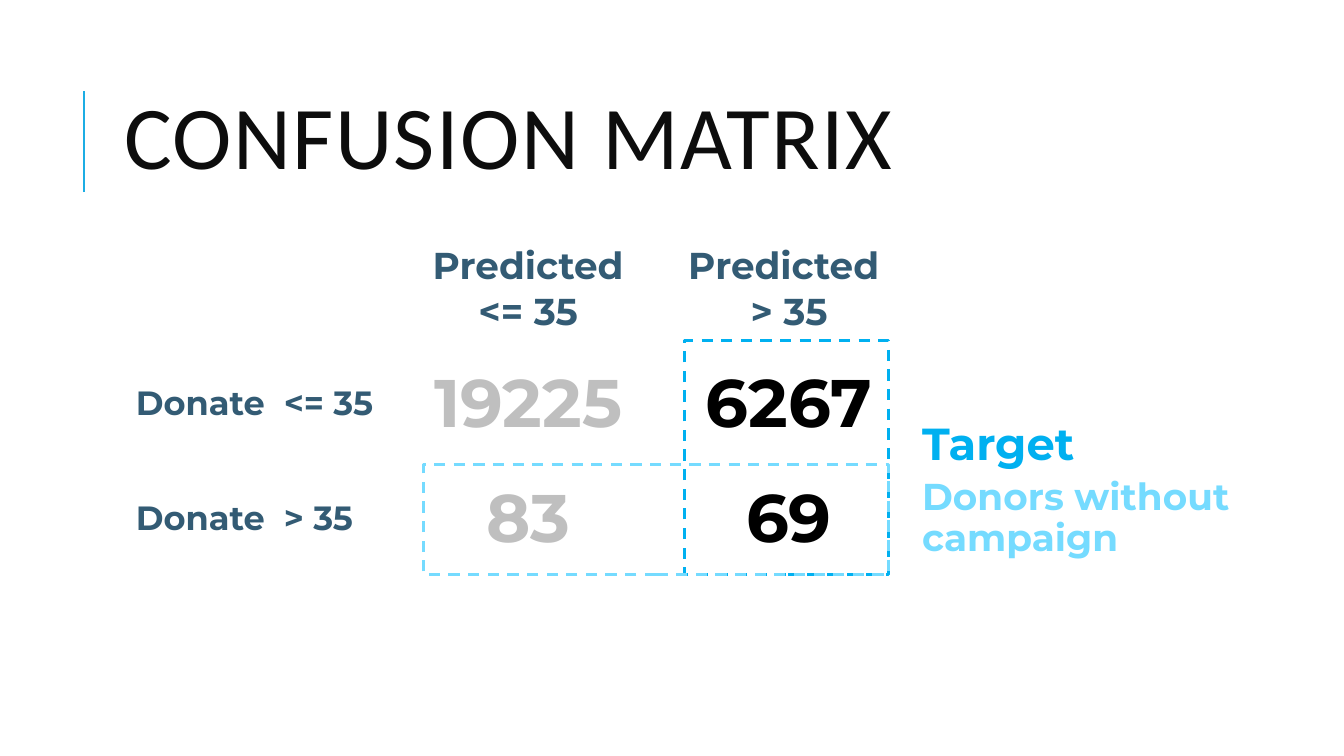
from pptx import Presentation
from pptx.dml.color import RGBColor
from pptx.enum.dml import MSO_LINE
from pptx.enum.shapes import MSO_CONNECTOR, MSO_SHAPE
from pptx.enum.text import MSO_ANCHOR, PP_ALIGN
from pptx.oxml.ns import qn
from pptx.util import Pt
from lxml import etree

ACCENT = RGBColor(0x1C, 0xAD, 0xE4)
TITLE_INK = RGBColor(0x0D, 0x0D, 0x0D)
LABEL = RGBColor(0x33, 0x5B, 0x74)
MUTED = RGBColor(0xBF, 0xBF, 0xBF)
BLACK = RGBColor(0, 0, 0)
TARGET = RGBColor(0x00, 0xB0, 0xF0)
DONORS = RGBColor(0x75, 0xDB, 0xFF)

prs = Presentation()
prs.slide_width, prs.slide_height = Pt(720), Pt(405)
slide = prs.slides.add_slide(prs.slide_layouts[6])
shapes = slide.shapes


def style(paragraph, font_name, size, color, bold=False):
    font = paragraph.font
    font.name, font.size, font.bold = font_name, Pt(size), bold
    font.color.rgb = color


def add_text(words, left, top, width, height):
    """Add a wrapping text box without insets and return its paragraph."""
    frame = shapes.add_textbox(Pt(left), Pt(top), Pt(width), Pt(height)).text_frame
    frame.word_wrap = True
    frame.margin_left = frame.margin_top = frame.margin_right = frame.margin_bottom = 0
    frame.text = words
    return frame.paragraphs[0]


# Title with its accent rule
rule = shapes.add_connector(MSO_CONNECTOR.STRAIGHT, Pt(45), Pt(103), Pt(45), Pt(49))
rule.line.color.rgb, rule.line.width = ACCENT, Pt(1.5)
etree.SubElement(rule._element.spPr, qn("a:effectLst"))

title = add_text("CONFUSION MATRIX", 66.5, 54, 611, 153)
style(title, "Calibri", 48, TITLE_INK)
title.line_spacing = 0.8
title.runs[0].font._element.set("spc", "80")

# Confusion matrix
column_widths = [152, 135.5, 144]
row_height = 61.4
matrix_rows = [
    ["", "Predicted <= 35", "Predicted \n> 35"],
    ["Donate  <= 35", "19225", "6267"],
    ["Donate  > 35", "83", "69"],
]
matrix = shapes.add_table(
    3, 3, Pt(63.2), Pt(123.2), Pt(sum(column_widths)), Pt(3 * row_height)
).table
for column, width in zip(matrix.columns, column_widths):
    column.width = Pt(width)
for r, row in enumerate(matrix_rows):
    matrix.rows[r].height = Pt(row_height)
    for c, words in enumerate(row):
        cell = matrix.cell(r, c)
        cell.fill.background()
        cell.vertical_anchor = MSO_ANCHOR.MIDDLE
        cell.margin_left = cell.margin_right = Pt(9.6)
        cell.margin_top = cell.margin_bottom = Pt(7.2)
        cell.text = words
        if r == 0:
            size, color = 20, LABEL
        elif c == 0:
            size, color = 18, LABEL
        else:
            size, color = 36, MUTED if c == 1 else BLACK
        for paragraph in cell.text_frame.paragraphs:
            style(paragraph, "Montserrat", size, color, bold=True)
            paragraph.alignment = PP_ALIGN.CENTER if c else PP_ALIGN.LEFT

# Dashed frames around the predicted column and the donor row
for color, left, top, width, height in [
    (TARGET, 366.6, 182.4, 109.4, 125.4),
    (DONORS, 226.8, 248.8, 249.2, 59),
]:
    frame = shapes.add_shape(MSO_SHAPE.RECTANGLE, Pt(left), Pt(top), Pt(width), Pt(height))
    frame.shadow.inherit = False
    frame.fill.background()
    frame.line.color.rgb, frame.line.width = color, Pt(1.5)
    frame.line.dash_style = MSO_LINE.DASH

# Legend for the frames
for words, top, width, size, color in [
    ("Target", 226, 126, 24, TARGET),
    ("Donors without campaign", 256.3, 188, 20, DONORS),
]:
    legend = add_text(words, 494, top, width, 38)
    style(legend, "Montserrat", size, color, bold=True)
    legend.line_spacing, legend.space_before = 0.9, Pt(6)

prs.save("out.pptx")
